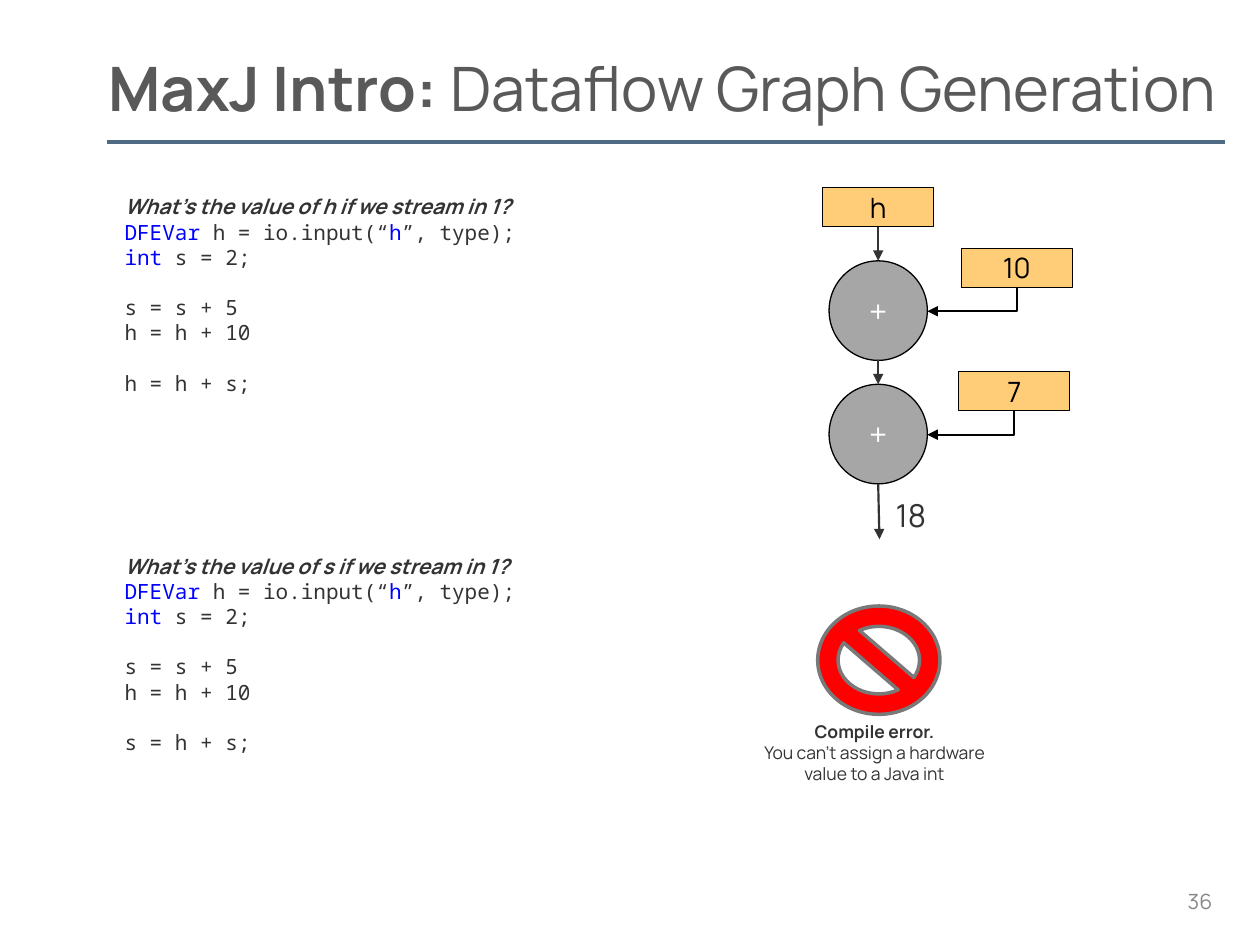
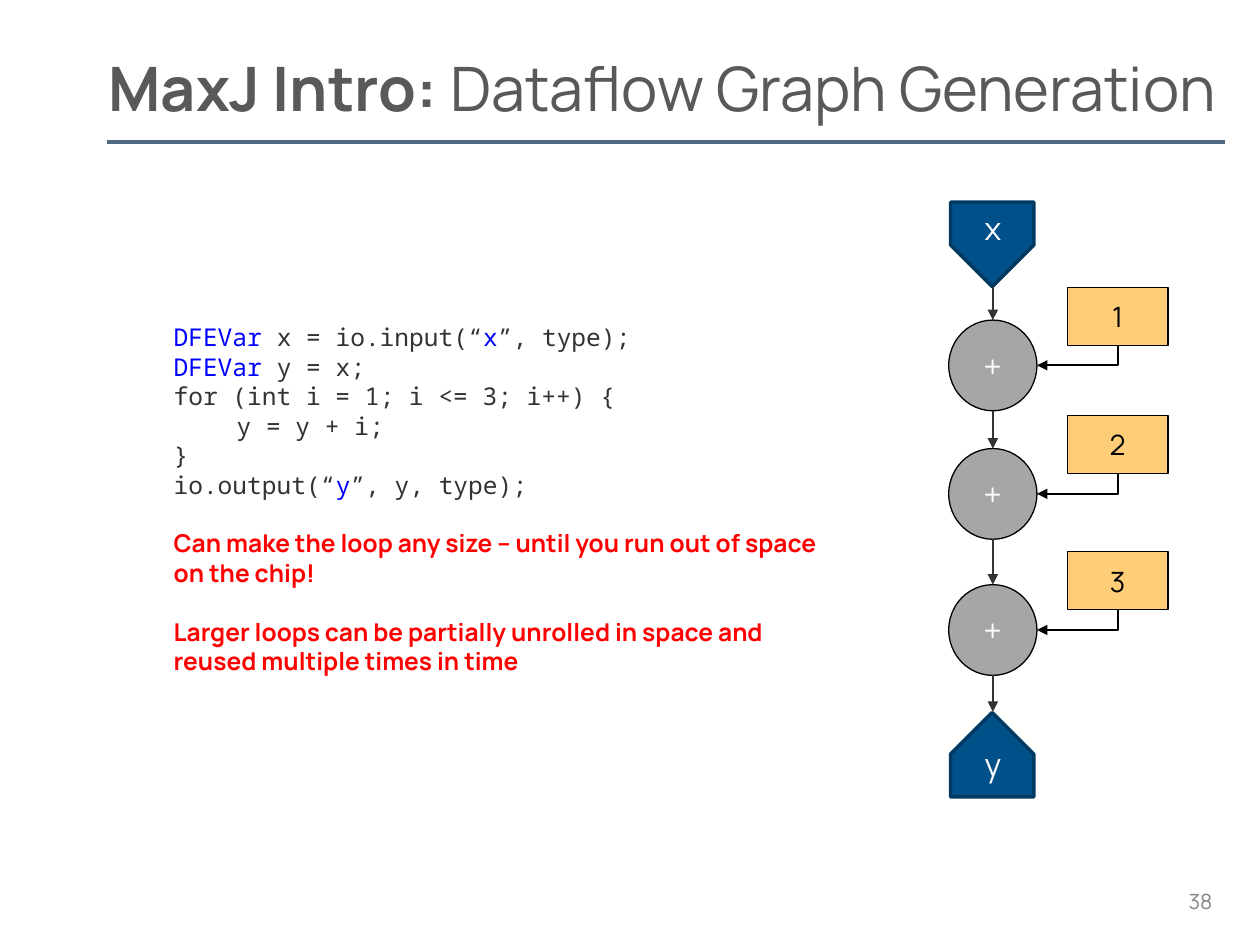
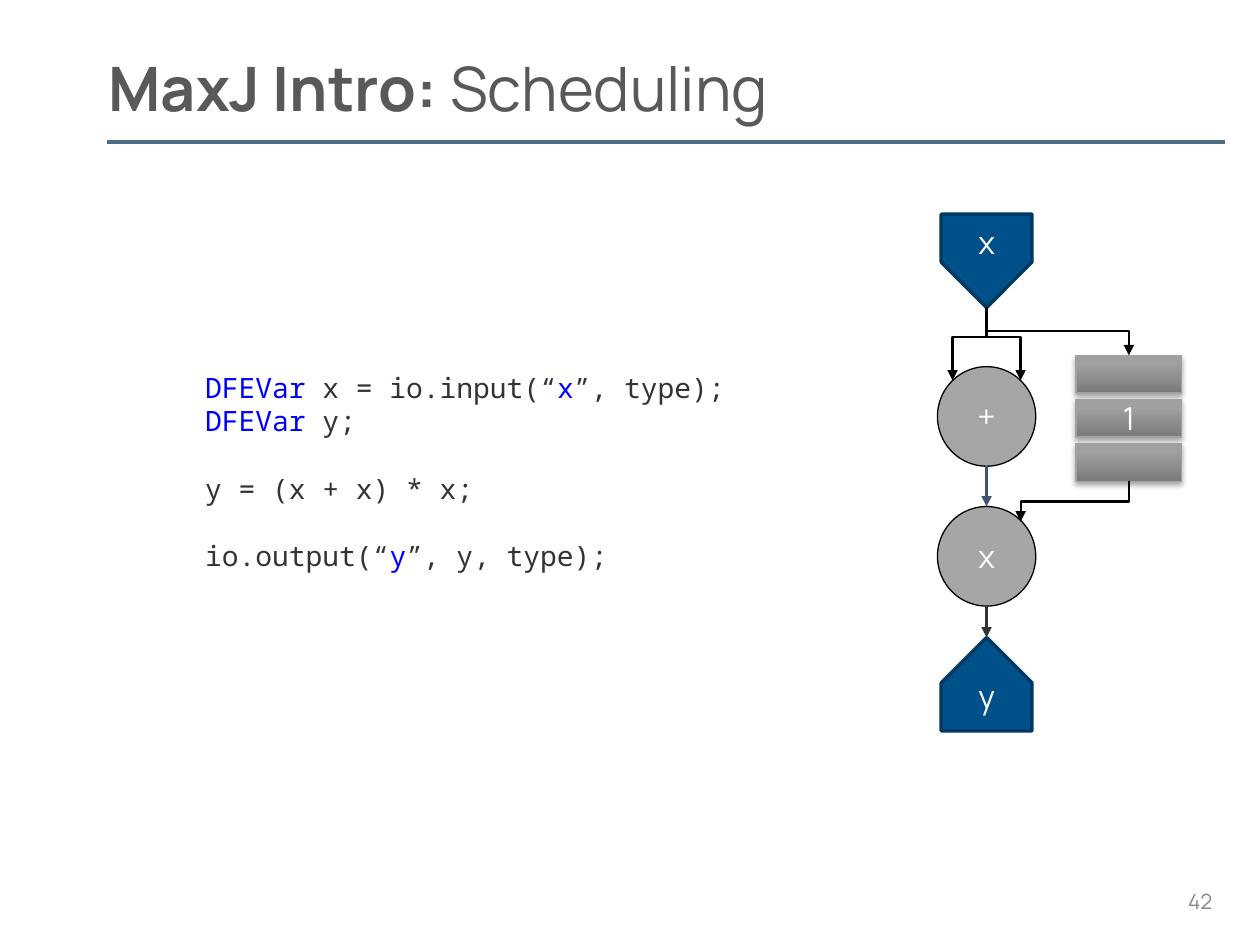
from copy import deepcopy

from lxml.etree import SubElement
from pptx import Presentation
from pptx.dml.color import RGBColor
from pptx.enum.shapes import MSO_CONNECTOR as CXN, MSO_SHAPE as SHAPE
from pptx.enum.text import MSO_ANCHOR as ANCHOR, MSO_AUTO_SIZE as FIT, PP_ALIGN as ALIGN
from pptx.oxml import parse_xml
from pptx.oxml.ns import nsdecls, qn
from pptx.util import Pt

PX = 9144  # EMU per px, 100 px to the inch
LINE_HEIGHT = 1.2

BLACK = RGBColor(0x00, 0x00, 0x00)
WHITE = RGBColor(0xFF, 0xFF, 0xFF)
INK = RGBColor(0x33, 0x33, 0x33)
TITLE_GREY = RGBColor(0x59, 0x59, 0x59)
NUMBER_GREY = RGBColor(0x88, 0x88, 0x88)
RULE_BLUE = RGBColor(0x4F, 0x6A, 0x83)
SLATE = RGBColor(0x44, 0x54, 0x6A)
KEYWORD_BLUE = RGBColor(0x00, 0x00, 0xFF)
RED = RGBColor(0xFF, 0x00, 0x00)
SIGN_EDGE = RGBColor(0x79, 0x79, 0x79)
NODE_GREY = RGBColor(0xA6, 0xA6, 0xA6)
CONST_ORANGE = RGBColor(0xFF, 0xCD, 0x78)
PORT_BLUE = RGBColor(0x00, 0x50, 0x89)
PORT_EDGE = RGBColor(0x00, 0x3A, 0x63)
REG_DARK = RGBColor(0x7A, 0x7A, 0x7A)
REG_MID = RGBColor(0xA0, 0xA0, 0xA0)
REG_LIGHT = RGBColor(0xA1, 0xA1, 0xA1)
REG_EDGE = RGBColor(0xA2, 0xA2, 0xA2)

SANS, MONO = "Manrope", "Noto Sans Mono"

# Text styles: font, colour, bold, italic
CODE = (MONO, INK, False, False)
KEY = (MONO, KEYWORD_BLUE, False, False)
PLAIN = (SANS, INK, False, False)
STRONG = (SANS, INK, True, False)
QUESTION = (SANS, INK, True, True)
WARNING = (SANS, RED, True, False)

# Shape looks: fill, line colour, line width, text colour, text size
OPERATOR = (NODE_GREY, BLACK, 0.75, WHITE, 18)
CONSTANT = (CONST_ORANGE, BLACK, 0.75, BLACK, 16)
PORT = (PORT_BLUE, PORT_EDGE, 2, WHITE, 18)
REGISTER = (REG_DARK, REG_EDGE, 0.75, WHITE, 18)
SIGN = (RED, SIGN_EDGE, 2, WHITE, 18)
PORT_LABEL = (None, None, 0, WHITE, 18)
PAGE_NUMBER = (None, None, 0, NUMBER_GREY, 12)


def add_node(s, kind, box, look, text="", align=ALIGN.CENTER):
    """Add a shape, or a text box when kind is None, with one line of text."""
    fill, edge, width, colour, size = look
    box = [v * PX for v in box]
    if kind is None:
        sp = s.shapes.add_textbox(*box)
    else:
        sp = s.shapes.add_shape(kind, *box)
        sp.shadow.inherit = False
        sp.fill.solid()
        sp.fill.fore_color.rgb = fill
        sp.line.color.rgb = edge
        sp.line.width = Pt(width)
    if text:
        tf = sp.text_frame
        tf.word_wrap = True
        tf.vertical_anchor = ANCHOR.MIDDLE
        p = tf.paragraphs[0]
        p.alignment = align
        r = p.add_run()
        r.text = text
        r.font.name, r.font.size = SANS, Pt(size)
        r.font.color.rgb = colour
    return sp


def add_line(s, x1, y1, x2, y2, colour=INK, width=1.25, bend=None, head=True):
    """Draw a line; bend 0 turns one corner, a fraction bends twice at that depth.

    Bent lines leave downwards, so they are drawn sideways and then rotated.
    """
    if bend is None:
        c = s.shapes.add_connector(CXN.STRAIGHT, x1 * PX, y1 * PX, x2 * PX, y2 * PX)
    else:
        mid_x, mid_y = (x1 + x2) * PX // 2, (y1 + y2) * PX // 2
        half_w, half_h = (y2 - y1) * PX // 2, abs(x2 - x1) * PX // 2
        c = s.shapes.add_connector(CXN.ELBOW, mid_x - half_w, mid_y - half_h,
                                   mid_x + half_w, mid_y + half_h)
        xfrm = c.element.spPr.find(qn("a:xfrm"))
        xfrm.set("rot", str((90 if x2 < x1 else 270) * 60000))
        if x2 > x1:
            xfrm.set("flipH", "1")
        geom = c.element.spPr.find(qn("a:prstGeom"))
        if bend:
            SubElement(geom.find(qn("a:avLst")), qn("a:gd"), name="adj1",
                       fmla=f"val {round(bend * 100000)}")
        else:
            geom.set("prst", "bentConnector2")
    c.line.color.rgb = colour
    c.line.width = Pt(width)
    if head:
        SubElement(c.element.spPr.find(qn("a:ln")), qn("a:tailEnd"), type="triangle")
    SubElement(c.element.spPr, qn("a:effectLst"))
    return c


# Wording: an empty line stands for a one-line gap above the next paragraph
declare_h = [("DFEVar", KEY), (" h = io.input(“", CODE), ("h", KEY), ("”, type);", CODE)]
declare_x = [("DFEVar", KEY), (" x = io.input(“", CODE), ("x", KEY), ("”, type);", CODE)]
output_y = [("io.output(“", CODE), ("y", KEY), ("”, y, type);", CODE)]

quizzes = [
    ((89, top, 509, 232), 12, ALIGN.LEFT, [
        [(f"What’s the value of {var} if we stream in 1?", QUESTION)],
        declare_h,
        [("int", KEY), (" s = 2;", CODE)],
        [],
        [("s = s + 5", CODE)],
        [("h = h + 10", CODE)],
        [],
        [(f"{var} = h + s;", CODE)],
    ])
    for var, top in (("h", 149), ("s", 434))
]
quiz_answers = [
    ((701, 389, 106, 40), 18, ALIGN.LEFT, [[("18", PLAIN)]]),
    ((588, 567, 212, 46), 10, ALIGN.CENTER, [
        [("Compile error.", STRONG)],
        [("You can’t assign a hardware value to a Java int", PLAIN)],
    ]),
]
loop_code = [((128, 251, 543, 209), 14, ALIGN.LEFT, [
    declare_x,
    [("DFEVar", KEY), (" y = x;", CODE)],
    [("for (int i = 1; i <= 3; i++) {", CODE)],
    [("\ty = y + i;", CODE)],
    [("}", CODE)],
    output_y,
    [],
    [("Can make the loop any size – until you run out of space on the chip!", WARNING)],
    [],
    [("Larger loops can be partially unrolled in space and reused multiple times in time",
      WARNING)],
])]
scheduling_code = [((153, 289, 509, 232), 16, ALIGN.LEFT, [
    declare_x,
    [("DFEVar", KEY), (" y;", CODE)],
    [],
    [("y = (x + x) * x;", CODE)],
    [],
    output_y,
])]
pages = [
    ("Dataflow Graph Generation", "36", quizzes + quiz_answers),
    ("Dataflow Graph Generation", "38", loop_code),
    ("Scheduling", "42", scheduling_code),
]

prs = Presentation()
prs.slide_width, prs.slide_height = 1000 * PX, 750 * PX
layout = prs.slide_layouts.get_by_name("Title Only")
heading = layout.placeholders[0]
heading.left, heading.top, heading.width, heading.height = [v * PX for v in (86, 37, 900, 64)]

# Titles, page numbers and text
for topic, number, blocks in pages:
    s = prs.slides.add_slide(layout)
    tf = s.shapes.title.text_frame
    tf.margin_left = tf.margin_top = tf.margin_right = tf.margin_bottom = 0
    tf.auto_size = FIT.NONE
    tf.vertical_anchor = ANCHOR.MIDDLE
    p = tf.paragraphs[0]
    p.alignment = ALIGN.LEFT
    for text, bold in (("MaxJ Intro: ", True), (topic, False)):
        r = p.add_run()
        r.text = text
        r.font.name, r.font.size, r.font.bold = SANS, Pt(35), bold
        r.font.color.rgb = TITLE_GREY
    add_node(s, None, (927, 695, 45, 40), PAGE_NUMBER, number, ALIGN.RIGHT)

    for box, size, align, lines in blocks:
        tf = s.shapes.add_textbox(*[v * PX for v in box]).text_frame
        tf.word_wrap = True
        p, gap = None, False
        for line in lines:
            if not line:
                gap = True
                continue
            p = tf.add_paragraph() if p else tf.paragraphs[0]
            p.alignment = align
            p.line_spacing = Pt(size * LINE_HEIGHT)
            if gap:
                p.space_before = Pt(size * LINE_HEIGHT)
            gap = False
            for text, (font, colour, bold, italic) in line:
                r = p.add_run()
                r.text = text
                r.font.name, r.font.size = font, Pt(size)
                r.font.bold, r.font.italic = bold, italic
                r.font.color.rgb = colour

quiz, loop, schedule = prs.slides

# The rule under the title belongs to the layout
rule = add_line(quiz, 85, 113, 972, 113, RULE_BLUE, 2.25, head=False)
layout.shapes.element.append(rule.element)

# Quiz: h + 10 + 7
h_box = add_node(quiz, SHAPE.FLOWCHART_PROCESS, (653, 149, 88, 31), CONSTANT, "h")
for value, left, top in (("10", 763, 207), ("7", 761, 305)):
    add_node(quiz, SHAPE.OVAL, (658, top, 78, 79), OPERATOR, "+")
    add_node(quiz, SHAPE.FLOWCHART_PROCESS, (left, top - 10, 88, 31), CONSTANT, value)
    add_line(quiz, left + 44, top + 21, 736, top + 40, BLACK, bend=0)
add_line(quiz, 697, 180, 697, 207).begin_connect(h_box, 2)
add_line(quiz, 697, 286, 697, 305)
add_line(quiz, 697, 384, 698, 428)
sign = add_node(quiz, SHAPE.NO_SYMBOL, (649, 481, 97, 86), SIGN)
sign.adjustments[0] = 0.188

# Input and output ports of the other two graphs
for s, left, width, height, tops, label_tops, label_height in (
        (loop, 754, 67, 66, (161, 566), (155, 581), 51),
        (schedule, 746, 74, 72, (171, 507), (164, 524), 56)):
    for name, turn, top, label_top in zip("xy", (90, 270), tops, label_tops):
        port = add_node(s, SHAPE.PENTAGON, (left, top, width, height), PORT)
        port.rotation = turn
        add_node(s, None, (left + 1, label_top, height, label_height), PORT_LABEL, name)

# Unrolled loop: one adder for each pass
above = 228
for step, top in enumerate((254, 356, 464), 1):
    add_line(loop, 788, above, 788, top)
    add_node(loop, SHAPE.OVAL, (753, top, 70, 72), OPERATOR, "+")
    add_node(loop, SHAPE.FLOWCHART_PROCESS, (847, top - 26, 80, 46), CONSTANT, str(step))
    add_line(loop, 887, top + 20, 823, top + 36, BLACK, bend=0)
    above = top + 72
add_line(loop, 788, above, 788, 565)

# Schedule: x is delayed by registers while the sum is computed
for symbol, top in (("+", 291), ("x", 402)):
    add_node(schedule, SHAPE.OVAL, (744, top, 78, 79), OPERATOR, symbol)
for i, text in enumerate(("", "1", "")):
    reg = add_node(schedule, SHAPE.RECTANGLE, (854, 282 + 35 * i, 84, 30), REGISTER, text)
    reg.fill.gradient()
    reg.fill.gradient_angle = 90
    stop_list = reg.element.spPr.find(".//" + qn("a:gsLst"))
    stop_list.insert(1, deepcopy(stop_list[0]))
    shades = ((0, REG_DARK), (0.8, REG_MID), (1, REG_LIGHT))
    for stop, (position, colour) in zip(reg.fill.gradient_stops, shades):
        stop.position = position
        stop.color.rgb = colour
    reg.element.spPr.find(qn("a:effectLst")).append(parse_xml(
        f'<a:outerShdw {nsdecls("a")} blurRad="39370" dist="22860" dir="5400000" '
        'rotWithShape="0"><a:srgbClr val="000000"><a:alpha val="35000"/></a:srgbClr>'
        '</a:outerShdw>'))
for x1, y1, x2, y2, bend in ((783, 244, 756, 302, 0.4), (783, 244, 810, 302, 0.4),
                             (783, 244, 896, 282, 0.5), (896, 382, 810, 414, 0.5)):
    add_line(schedule, x1, y1, x2, y2, BLACK, bend=bend)
add_line(schedule, 783, 370, 783, 402, SLATE, 1.5)
add_line(schedule, 783, 481, 783, 506)

prs.save("out.pptx")
